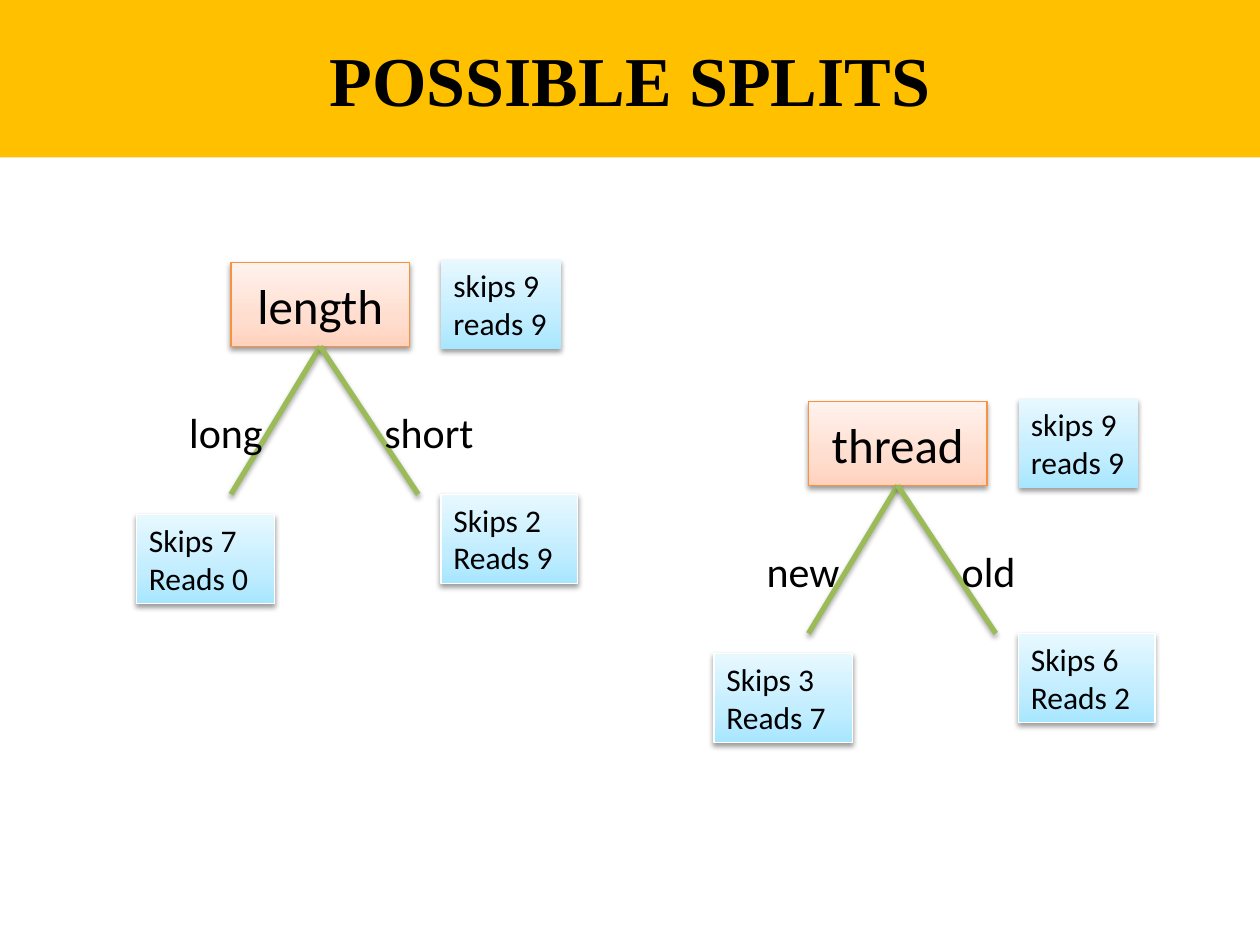
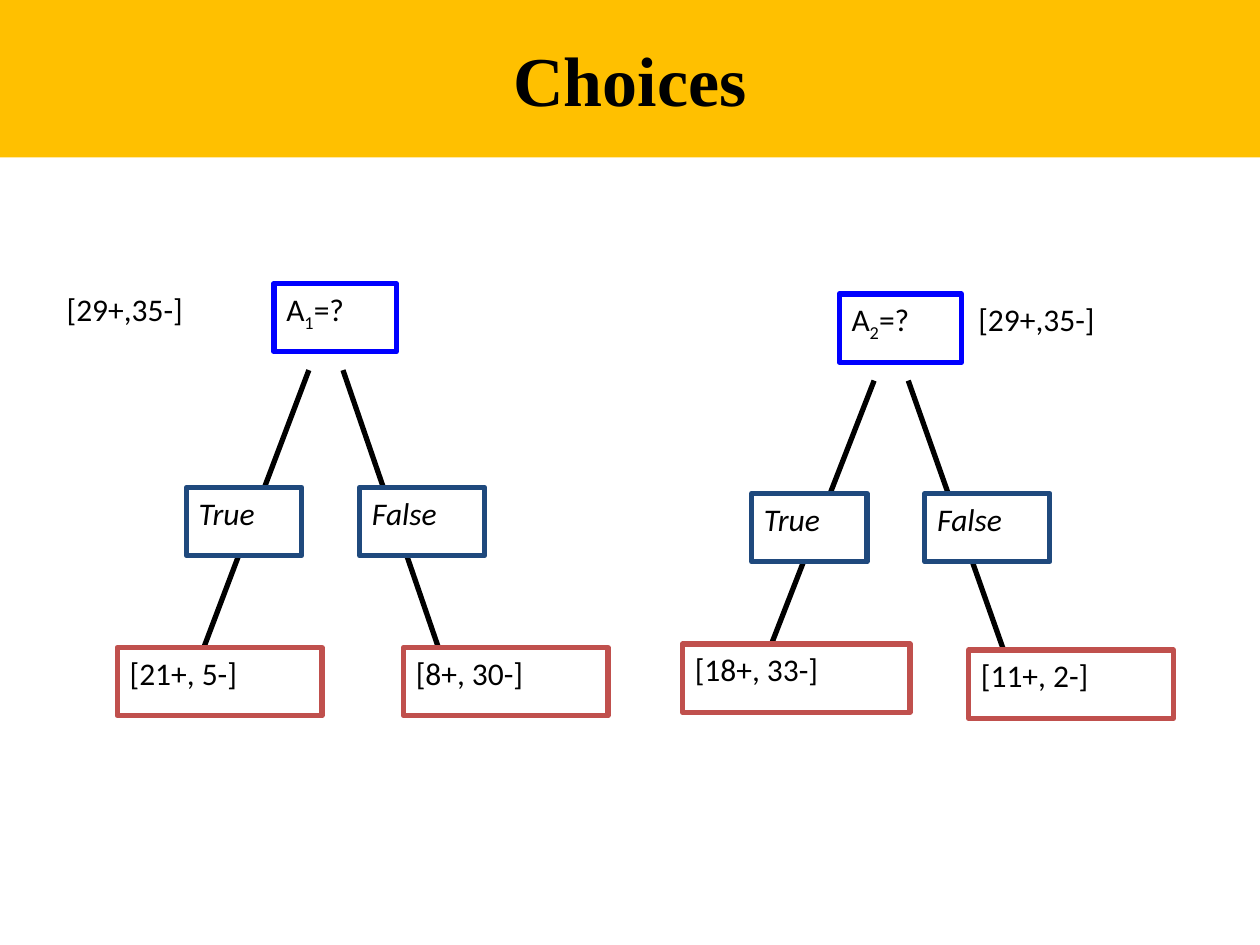
from lxml.etree import SubElement
from copy import deepcopy
from pptx import Presentation
from pptx.dml.color import RGBColor
from pptx.enum.shapes import MSO_CONNECTOR as Connector, MSO_SHAPE as Shape
from pptx.enum.text import MSO_ANCHOR as Anchor, PP_ALIGN as Align
from pptx.oxml.ns import qn
from pptx.util import Pt

COLOURS = {
    "band": "FFC000", "ink": "000000", "paper": "FFFFFF",
    "attribute line": "F69240", "branch": "9BBB59",
    "question": "0000FF", "answer": "1F497D", "leaf": "C0504D",
}
GRADIENTS = {
    "attribute": ("FFD2BD", "FFDED0", "FFF2ED"),
    "counts": ("A7E6FF", "C1EDFF", "E7F8FF"),
}
STOPS = (0, 0.35, 1)
BODY_FONT, TITLE_FONT = "Calibri", "Times New Roman"
PAGE_WIDTH, PAGE_HEIGHT, BAND_HEIGHT = 720, 540, 90


def colour(name):
    return RGBColor.from_string(COLOURS[name])


def write(shape, text, size, font=BODY_FONT, bold=False, italic=False,
          align=Align.LEFT, anchor=Anchor.TOP, wrap=True):
    frame = shape.text_frame
    frame.text = text
    frame.word_wrap = wrap
    frame.vertical_anchor = anchor
    for para in frame.paragraphs:
        para.alignment = align
        for span in para.runs:
            style_span(span, size, font, bold, italic)


def style_span(span, size, font=BODY_FONT, bold=False, italic=False):
    span.font.name = font
    span.font.size = Pt(size)
    span.font.bold = bold
    span.font.italic = italic
    span.font.color.rgb = colour("ink")


def add_box(page, left, top, width, height, fill=None, line=None, weight=0.75):
    box = page.shapes.add_shape(Shape.RECTANGLE, Pt(left), Pt(top), Pt(width), Pt(height))
    box.shadow.inherit = False
    if fill:
        box.fill.solid()
        box.fill.fore_color.rgb = colour(fill)
    if line:
        box.line.color.rgb = colour(line)
        box.line.width = Pt(weight)
    else:
        box.line.fill.background()
    return box


def add_label(page, left, top, width, text, size, wrap=False):
    label = page.shapes.add_textbox(Pt(left), Pt(top), Pt(width), Pt(36))
    write(label, text, size, wrap=wrap)


def add_shadow(effects, opacity, distance):
    shadow = SubElement(effects, qn("a:outerShdw"), blurRad=str(Pt(3.1)),
                        dist=str(Pt(distance)), dir="5400000", rotWithShape="0")
    black = SubElement(shadow, qn("a:srgbClr"), val=COLOURS["ink"])
    SubElement(black, qn("a:alpha"), val=str(opacity * 1000))


def add_shaded_box(page, left, top, width, height, gradient, line=None):
    box = add_box(page, left, top, width, height, line=line)
    box.fill.gradient()
    box.fill.gradient_angle = 90
    properties = box._element.spPr
    first_stop = properties.find(".//" + qn("a:gs"))
    first_stop.addnext(deepcopy(first_stop))
    for stop, position, value in zip(box.fill.gradient_stops, STOPS, GRADIENTS[gradient]):
        stop.position = position
        stop.color.rgb = RGBColor.from_string(value)
    add_shadow(properties.find(qn("a:effectLst")), 38, 1.6)
    return box


def add_line(page, start, end, line):
    """Draw a straight line and return its empty effect list."""
    connector = page.shapes.add_connector(Connector.STRAIGHT, *map(Pt, start + end))
    connector.line.color.rgb = colour(line)
    connector.line.width = Pt(3)
    return SubElement(connector._element.spPr, qn("a:effectLst"))


def add_page(deck, title):
    page = deck.slides.add_slide(deck.slide_layouts[6])
    band = add_box(page, 0, 0, PAGE_WIDTH, BAND_HEIGHT, "band")
    write(band, title, 40, TITLE_FONT, bold=True, align=Align.CENTER, anchor=Anchor.MIDDLE)
    return page


def add_split(page, left, top, attribute, total, branches):
    """Place an attribute, its total counts and two labelled branches."""
    node = add_shaded_box(page, left + 54, top + 1.5, 102, 48, "attribute", "attribute line")
    write(node, attribute, 28, align=Align.CENTER, anchor=Anchor.MIDDLE)
    for end in (54, 161):
        effects = add_line(page, (left + 105, top + 49.5), (left + end, top + 134), "branch")
        add_shadow(effects, 35, 1.8)

    counts_boxes = [(174, 0, 68.5, total, None)]
    places = ((23, 0, 145.5, 79), (134.5, 174, 134, 78))
    for (label, width, counts), (label_x, x, y, box_width) in zip(branches, places):
        add_label(page, left + label_x, top + 80, width, label, 24)
        counts_boxes.append((x, y, box_width, counts, "paper"))
    for x, y, width, counts, line in counts_boxes:
        box = add_shaded_box(page, left + x, top + y, width, 51, "counts", line)
        write(box, counts, 18)


def add_choice(page, left, top, index, total_x, answer_y, leaves):
    """Place a question, its True and False answers and their leaves."""
    line_end = leaves[-1][1]
    for start, end in ((109.5, 49.5), (129, 183.5)):
        add_line(page, (left + start, top + 49.5), (left + end, top + line_end), "ink")

    def outlined(x, y, width, text, line, italic=False):
        box = add_box(page, left + x, top + y, width, 39, "paper", line, 3)
        write(box, text, 18, italic=italic)
        return box

    question = outlined(89.5, 0, 70, "A", "question")
    para = question.text_frame.paragraphs[0]
    for text in (index, "=?"):
        span = para.add_run()
        span.text = text
        style_span(span, 18)
    para.runs[1].font._element.set("baseline", "-25000")

    outlined(39.5, answer_y, 66, "True", "answer", italic=True)
    outlined(138.5, answer_y, 71.5, "False", "answer", italic=True)
    for x, (text, y, width) in zip((0, 163.5), leaves):
        outlined(x, y, width, text, "leaf")
    add_label(page, left + total_x, top, 119, "[29+,35-]", 18, wrap=True)


def main():
    deck = Presentation()
    deck.slide_width, deck.slide_height = Pt(PAGE_WIDTH), Pt(PAGE_HEIGHT)

    page = add_page(deck, "POSSIBLE SPLITS")
    total = "skips 9\nreads 9"
    add_split(page, 78, 148.5, "length", total,
              (("long", 57, "Skips 7\nReads 0"), ("short", 66, "Skips 2\nReads 9")))
    add_split(page, 408, 228, "thread", total,
              (("new", 57, "Skips 3\nReads 7"), ("old", 45, "Skips 6\nReads 2")))

    page = add_page(deck, "Choices")
    add_choice(page, 67, 162, "1", -36, 116.5,
               (("[21+, 5-]", 208, 117), ("[8+, 30-]", 208, 117)))
    add_choice(page, 390, 168, "2", 162, 114,
               (("[18+, 33-]", 200, 130), ("[11+, 2-]", 203.5, 117)))

    deck.save("out.pptx")


if __name__ == "__main__":
    main()
